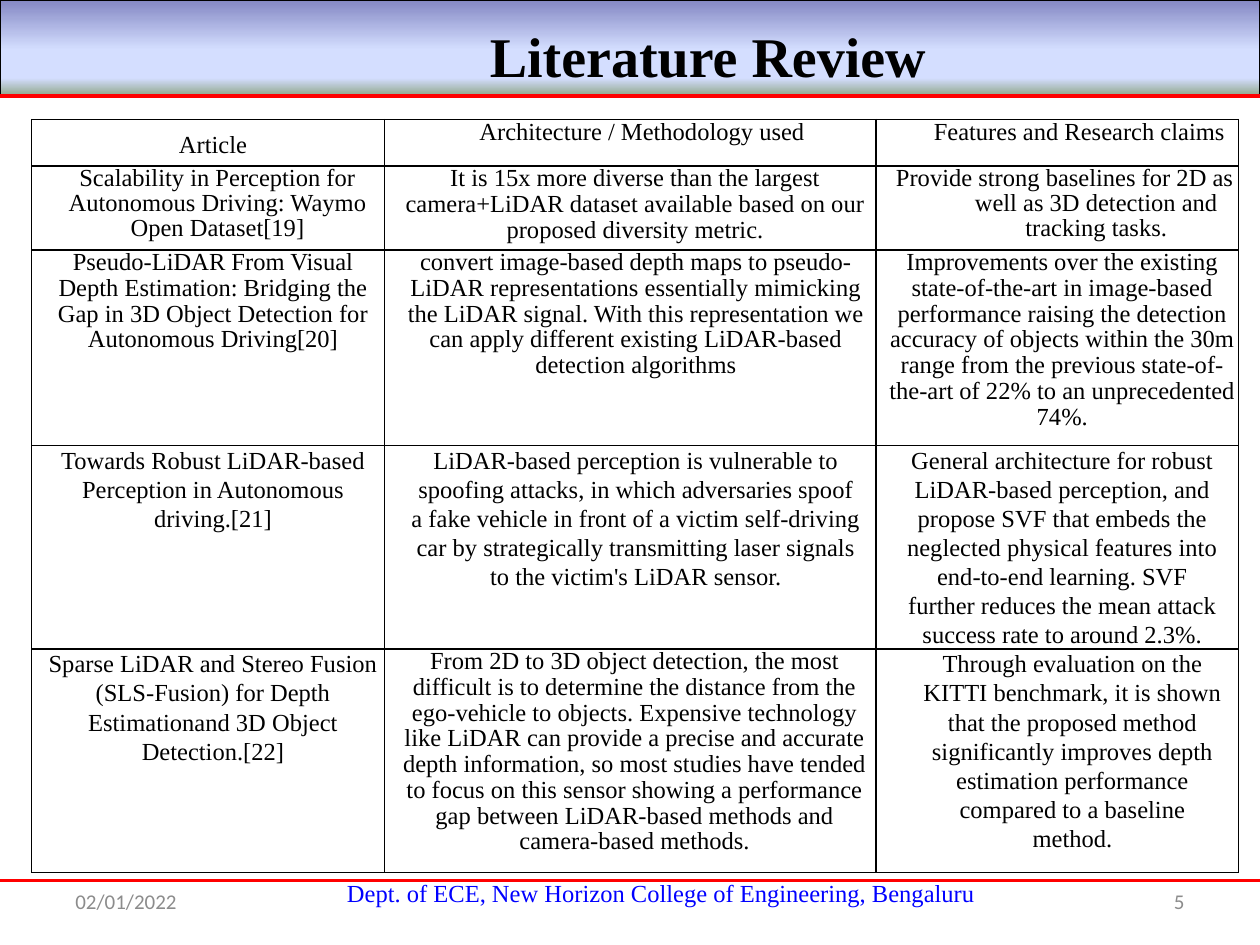
from lxml.etree import SubElement
from pptx import Presentation
from pptx.dml.color import RGBColor
from pptx.enum.shapes import MSO_CONNECTOR, MSO_SHAPE
from pptx.enum.text import MSO_ANCHOR, PP_ALIGN
from pptx.oxml.ns import qn
from pptx.util import Cm, Pt

SERIF = "Times New Roman"
WIDTH, HEIGHT = 25.4, 19.05
LINE = Pt(16.6)  # fixed pitch of the cells with set line ends

COLUMNS = [7.11, 9.91, 7.31]
ROWS = [0.94, 1.55, 3.93, 4.09, 4.15]

# Each cell: text, left margin and first-line indent in cm, line spacing
CELLS = [
    [("Article", 0.2, 0, Pt(22.2)),
     ("Architecture / Methodology used", 2.21, -1.73, 0.95),
     ("Features and Research claims", 0.66, 0.23, 0.95)],
    [("Scalability in Perception for Autonomous Driving: Waymo Open Dataset[19]",
      0.38, 0, 0.93),
     ("It is 15x more diverse than the largest camera+LiDAR dataset available "
      "based on our proposed diversity metric.", 0.2, 0, 0.95),
     ("Provide strong baselines for 2D as well as 3D detection and tracking tasks.",
      1.57, -1.27, 0.93)],
    [("Pseudo-LiDAR From Visual Depth Estimation: Bridging the Gap in 3D Object "
      "Detection for Autonomous Driving[20]", 0.2, 0, 0.95),
     ("convert image-based depth maps to pseudo-LiDAR representations essentially "
      "mimicking the LiDAR signal. With this representation we can apply different "
      "existing LiDAR-based detection algorithms", 0.23, 0, 0.95),
     ("Improvements over the existing state-of-the-art in image-based performance "
      "raising the detection accuracy of objects within the 30m range from the "
      "previous state-of-the-art of 22% to an unprecedented 74%.", 0.2, 0, 0.95)],
    [("Towards Robust LiDAR-based\nPerception in Autonomous\ndriving.[21]",
      0.2, 0, LINE),
     ("LiDAR-based perception is vulnerable to\n"
      "spoofing attacks, in which adversaries spoof\n"
      "a fake vehicle in front of a victim self-driving\n"
      "car by strategically transmitting laser signals\n"
      "to the victim's LiDAR sensor.", 0.23, 0, LINE),
     ("General architecture for robust\nLiDAR-based perception, and\n"
      "propose SVF that embeds the\nneglected physical features into\n"
      "end-to-end learning. SVF\nfurther reduces the mean attack\n"
      "success rate to around 2.3%.", 0.2, 0, LINE)],
    [("Sparse LiDAR and Stereo Fusion\n(SLS-Fusion) for Depth\n"
      "Estimationand 3D Object\nDetection.[22]", 0.2, 0, LINE),
     ("From 2D to 3D object detection, the most difficult is to determine the "
      "distance from the ego-vehicle to objects. Expensive technology like LiDAR "
      "can provide a precise and accurate depth information, so most studies have "
      "tended to focus on this sensor showing a performance gap between LiDAR-based "
      "methods and camera-based methods.", 0.18, 0, 0.95),
     ("Through evaluation on the\nKITTI benchmark, it is shown\n"
      "that the proposed method\nsignificantly improves depth\n"
      "estimation performance\ncompared to a baseline\nmethod.", 0.61, 0, LINE)],
]


def rgb(value):
    return RGBColor.from_string(value)


def style(p, size, color="000000", font=SERIF, bold=False, align=PP_ALIGN.CENTER):
    p.alignment = align
    for r in p.runs:
        r.font.size = Pt(size)
        r.font.name = font
        r.font.bold = bold
        r.font.color.rgb = rgb(color)


def add_text(s, box, text, size, anchor=MSO_ANCHOR.MIDDLE, **look):
    tf = s.shapes.add_textbox(*map(Cm, box)).text_frame
    tf.word_wrap = True
    tf.vertical_anchor = anchor
    tf.text = text
    style(tf.paragraphs[0], size, **look)


def add_rule(s, y, width):
    line = s.shapes.add_connector(MSO_CONNECTOR.STRAIGHT, 0, Cm(y), Cm(WIDTH), Cm(y))
    line.line.color.rgb = rgb("FF0000")
    line.line.width = Pt(width)
    SubElement(line._element.spPr, qn("a:effectLst"))


def add_banner(s, height, stops):
    sp = s.shapes.add_shape(MSO_SHAPE.RECTANGLE, 0, 0, Cm(WIDTH), Cm(height))
    sp.shadow.inherit = False
    sp.line.color.rgb = rgb("000000")
    sp.line.width = Pt(0.75)
    sp.fill.gradient()
    sp.fill.gradient_angle = 270
    stop_list = sp._element.spPr.find(qn("a:gradFill")).find(qn("a:gsLst"))
    stop_list.clear()
    for percent, color in stops:
        stop = SubElement(stop_list, qn("a:gs"), pos=str(percent * 1000))
        SubElement(stop, qn("a:srgbClr"), val=color)


def add_borders(cell, color="000000", width=1):
    tcPr = cell._tc.get_or_add_tcPr()
    for i, side in enumerate(("lnL", "lnR", "lnT", "lnB")):
        ln = SubElement(tcPr, qn(f"a:{side}"), w=str(Pt(width)))
        SubElement(SubElement(ln, qn("a:solidFill")), qn("a:srgbClr"), val=color)
        tcPr.insert(i, ln)


def fill_cell(cell, text, left, first, spacing):
    cell.margin_left = cell.margin_right = cell.margin_top = cell.margin_bottom = 0
    cell.fill.background()
    add_borders(cell)
    cell.text_frame.text = text
    for p in cell.text_frame.paragraphs:
        pPr = p._p.get_or_add_pPr()
        pPr.set("marL", str(Cm(left)))
        pPr.set("indent", str(Cm(first)))
        p.line_spacing = spacing
        style(p, 14)


def add_review_table(s, left, top):
    frame = s.shapes.add_table(len(ROWS), len(COLUMNS), Cm(left), Cm(top),
                               Cm(sum(COLUMNS)), Cm(sum(ROWS)))
    table = frame.table
    table.first_row = table.horz_banding = False
    for column, width in zip(table.columns, COLUMNS):
        column.width = Cm(width)
    for row, height, contents in zip(table.rows, ROWS, CELLS):
        row.height = Cm(height)
        for cell, content in zip(row.cells, contents):
            fill_cell(cell, *content)


def main():
    prs = Presentation()
    prs.slide_width, prs.slide_height = Cm(WIDTH), Cm(HEIGHT)
    s = prs.slides.add_slide(prs.slide_layouts[6])

    # Header
    add_banner(s, 1.9, [(0, "8488C4"), (53, "D4DEFF"), (83, "D4DEFF"), (100, "96AB94")])
    add_rule(s, 1.93, 2.25)
    add_text(s, (3.3, 0.43, 21.95, 1.35), "Literature Review", 32, bold=True)

    # Footer
    add_text(s, (4.34, 17.58, 17.98, 0.84),
             "Dept. of ECE, New Horizon College of Engineering, Bengaluru", 14,
             anchor=MSO_ANCHOR.TOP, color="0000FF")
    add_rule(s, 17.75, 1.5)
    for left, text, align in ((1.27, "02/01/2022", PP_ALIGN.LEFT),
                              (18.21, "5", PP_ALIGN.RIGHT)):
        add_text(s, (left, 17.65, 5.92, 1.02), text, 12,
                 color="8C8C8C", font="Calibri", align=align)

    # Reviewed articles
    add_review_table(s, 0.64, 2.41)

    prs.save("out.pptx")


if __name__ == "__main__":
    main()
